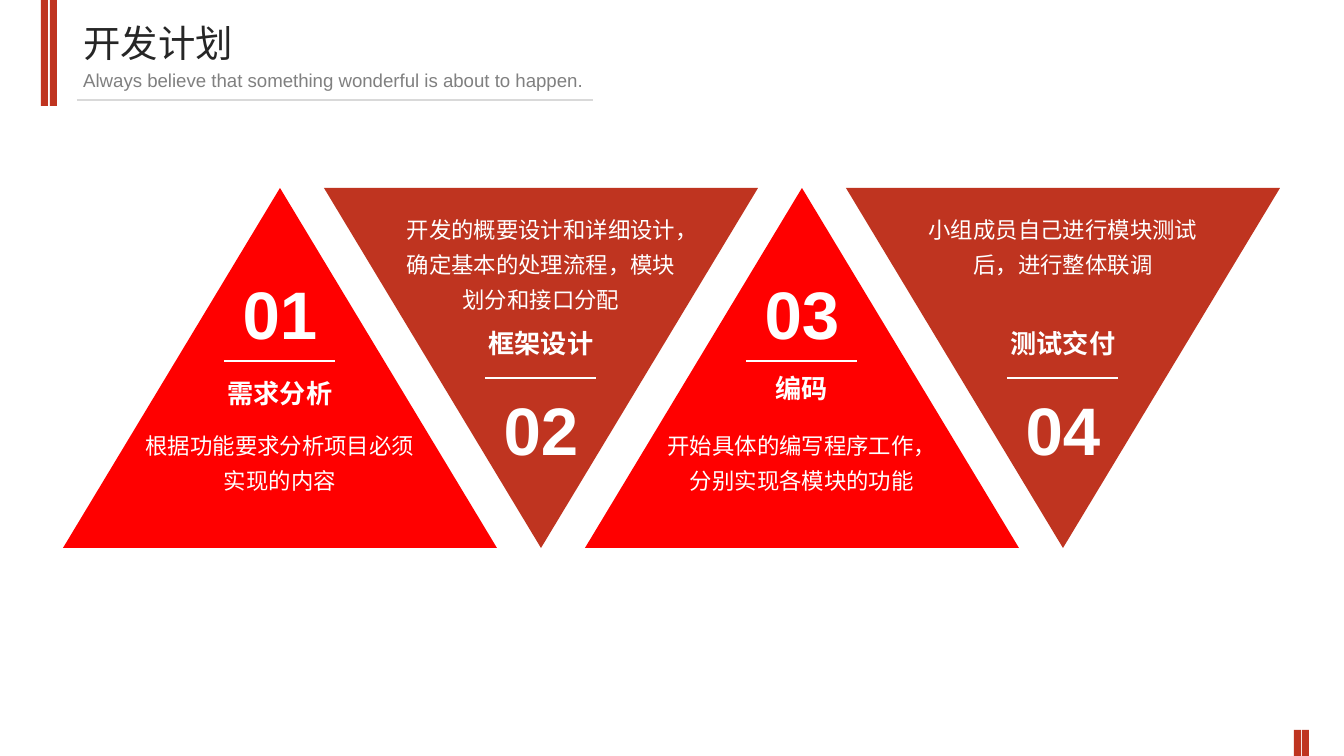
import pptx
import pptx.util
import pptx.dml.color
import pptx.enum.shapes
import pptx.enum.text
import pptx.oxml.ns
import lxml.etree

WIDTH, HEIGHT = 1344, 756
SCALE = 9144000 / WIDTH
SHAPES = pptx.enum.shapes.MSO_SHAPE
ALIGN = pptx.enum.text.PP_ALIGN


def px(length):
    return pptx.util.Emu(round(length * SCALE))


def color(hex_code):
    return pptx.dml.color.RGBColor.from_string(hex_code)


class Deck:
    RED, BRICK, WHITE = "FF0000", "BF3420", "FFFFFF"
    INK, GRAY, RULE = "262626", "808080", "D9D9D9"
    FONT, CJK_FONT, TITLE_FONT = "Arial", "Noto Sans CJK SC", "Roboto Condensed"

    def __init__(self):
        self.prs = pptx.Presentation()
        self.prs.slide_width, self.prs.slide_height = px(WIDTH), px(HEIGHT)
        self.slide = self.prs.slides.add_slide(self.prs.slide_layouts[5])

    def shape(self, kind, x, y, w, h, fill, rotation=0):
        part = self.slide.shapes.add_shape(kind, px(x), px(y), px(w), px(h))
        part.shadow.inherit = False
        part.fill.solid()
        part.fill.fore_color.rgb = color(fill)
        part.line.fill.background()
        part.rotation = rotation

    def rule(self, x, y, w, hex_code):
        line = self.slide.shapes.add_connector(
            pptx.enum.shapes.MSO_CONNECTOR.STRAIGHT, px(x), px(y), px(x + w), px(y))
        line.line.color.rgb = color(hex_code)
        line.line.width = pptx.util.Pt(0.75)
        lxml.etree.SubElement(line._element.spPr, pptx.oxml.ns.qn("a:effectLst"))

    def title(self, text, x, y, w, h):
        holder = self.slide.shapes.title
        holder.left, holder.top, holder.width, holder.height = px(x), px(y), px(w), px(h)
        self.set_text(holder, text, 20, self.INK, self.TITLE_FONT, ALIGN.LEFT)

    def text(self, text, x, y, w, h, size, hex_code=WHITE, font=FONT,
             align=ALIGN.CENTER, bold=False, spacing=None, before=0):
        box = self.slide.shapes.add_textbox(px(x), px(y), px(w), px(h))
        self.set_text(box, text, size, hex_code, font, align, bold, spacing, before)

    def set_text(self, holder, text, size, hex_code, font, align,
                 bold=False, spacing=None, before=0):
        frame = holder.text_frame
        frame.text = text
        frame.word_wrap = True
        frame.auto_size = pptx.enum.text.MSO_AUTO_SIZE.NONE
        frame.vertical_anchor = pptx.enum.text.MSO_ANCHOR.TOP
        frame.margin_top = frame.margin_bottom = px(5)
        paragraph = frame.paragraphs[0]
        paragraph.alignment = align
        paragraph.line_spacing = spacing
        paragraph.space_before = pptx.util.Pt(before)
        style = paragraph.runs[0].font
        style.size, style.bold, style.name = pptx.util.Pt(size), bold, font
        style.color.rgb = color(hex_code)


deck = Deck()

# Accent bars
for x, y, h in ((41, 0, 106), (50, 0, 106), (1294, 730, 26), (1302, 730, 26)):
    deck.shape(SHAPES.RECTANGLE, x, y, 7, h, deck.BRICK)

# Header
deck.rule(77, 100, 516, deck.RULE)
deck.title("开发计划", 70, 15, 569, 59)
deck.text("Always\u00a0believe that something\u00a0wonderful is about to happen.",
          70, 64, 569, 36, 10, deck.GRAY, align=ALIGN.LEFT)

# Steps: name, name font, name top, description, description height
steps = (
    ("需求分析", deck.FONT, 372, "根据功能要求分析项目必须实现的内容", 81),
    ("框架设计", deck.CJK_FONT, 322,
     "开发的概要设计和详细设计，确定基本的处理流程，模块划分和接口分配", 116),
    ("编码", deck.CJK_FONT, 367, "开始具体的编写程序工作，分别实现各模块的功能", 81),
    ("测试交付", deck.FONT, 322, "小组成员自己进行模块测试后，进行整体联调", 81),
)
FIRST_CENTER, PITCH = 280, 261
centers = [FIRST_CENTER + PITCH * i for i in range(len(steps))]

# Alternating triangles
for i, center in enumerate(centers):
    fill, rotation = ((deck.RED, 0), (deck.BRICK, 180))[i % 2]
    deck.shape(SHAPES.ISOSCELES_TRIANGLE, center - 217, 188, 434, 360, fill, rotation)

# Step contents, mirrored in the inverted triangles
for i, (center, step) in enumerate(zip(centers, steps)):
    name, font, name_top, description, height = step
    number_top, rule_top, description_top = ((267, 361, 419), (383, 378, 203))[i % 2]
    deck.text(name, center - 119, name_top, 238, 46, 14, font=font, bold=True)
    deck.text(description, center - 153, description_top, 306, height, 12,
              spacing=1.3, before=6)
    deck.text(f"{i + 1:02d}", center - 72, number_top, 144, 95, 36, bold=True)
    deck.rule(center - 56, rule_top, 111, deck.WHITE)

deck.prs.save("out.pptx")
